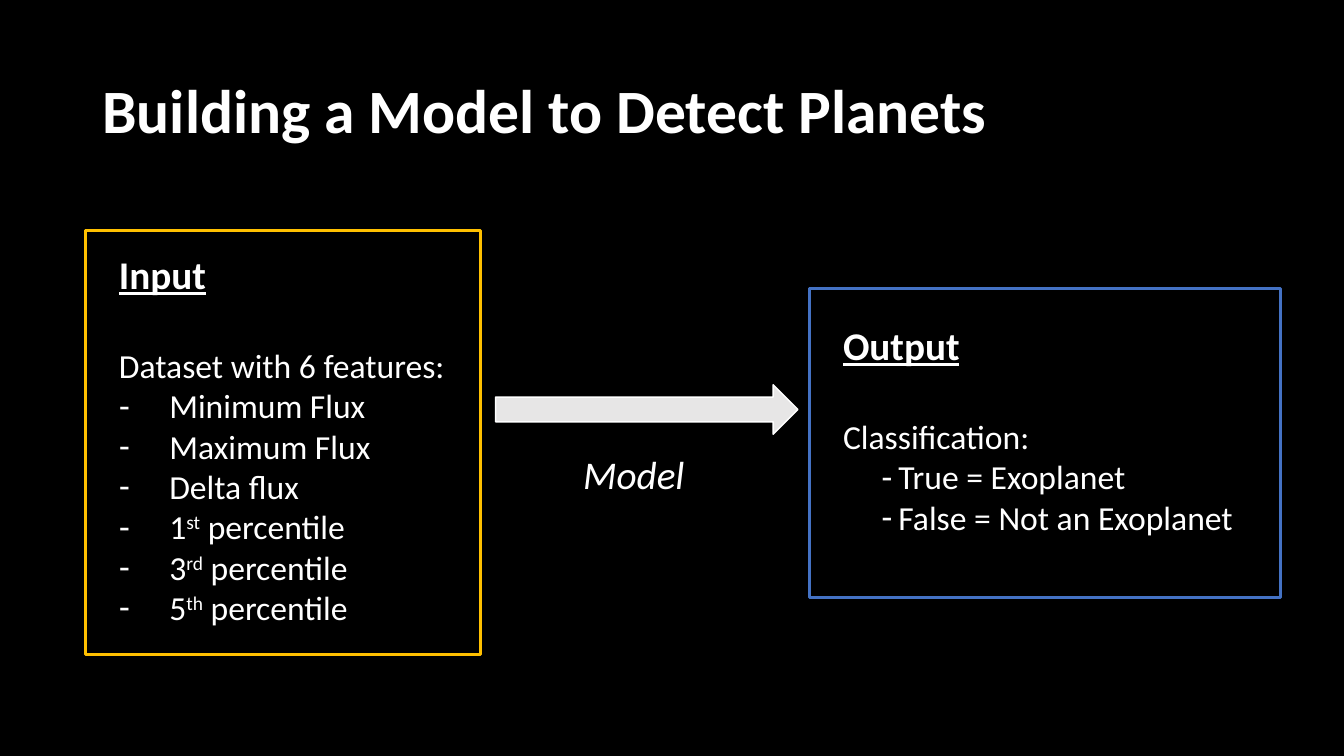
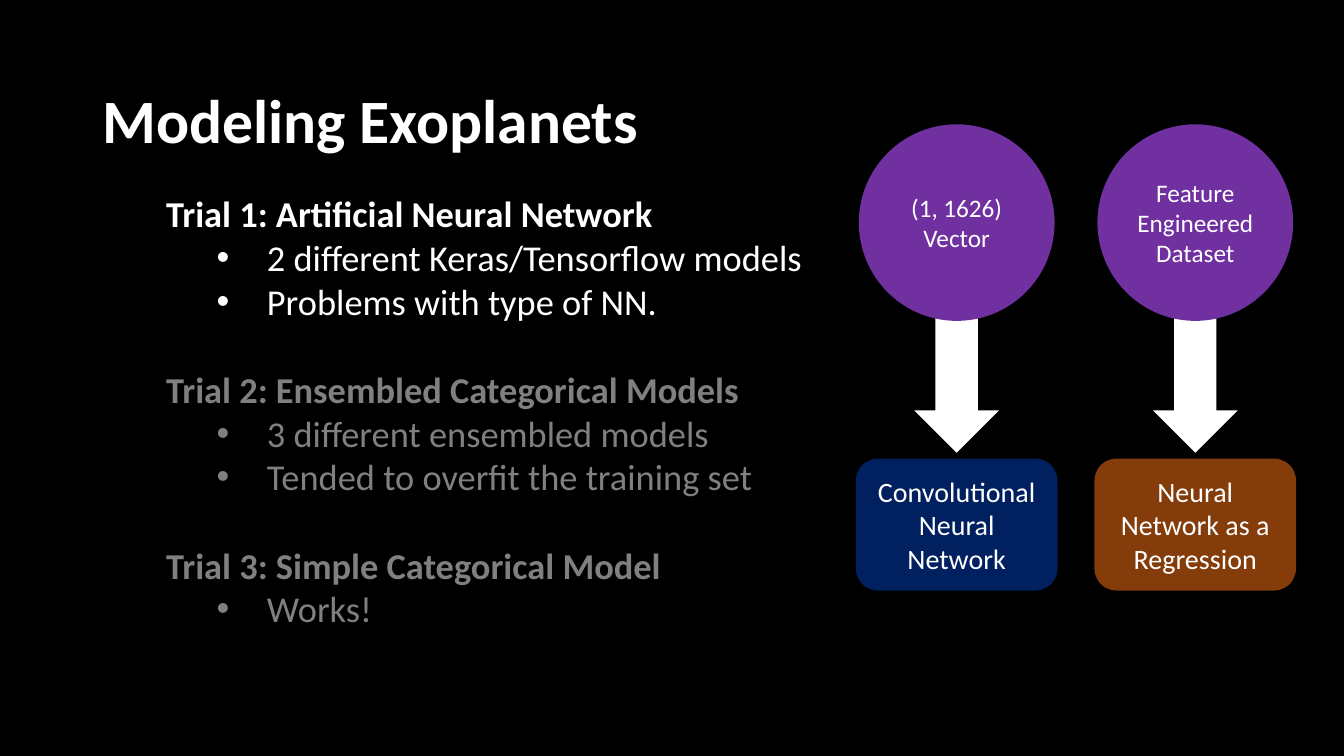
from dataclasses import dataclass
from lxml.etree import SubElement
from pptx import Presentation
from pptx.dml.color import RGBColor
from pptx.enum.shapes import MSO_SHAPE as Shape
from pptx.enum.text import MSO_ANCHOR as Anchor, MSO_AUTO_SIZE as AutoSize, PP_ALIGN as Align
from pptx.oxml.ns import qn
from pptx.util import Inches, Pt

COLUMNS, ROWS = 160, 90
WIDTH, HEIGHT = Inches(13.333), Inches(7.5)
TITLE_ONLY = 5


@dataclass(frozen=True)
class Theme:
    font: str = "Calibri"
    black: str = "000000"
    white: str = "FFFFFF"
    muted: str = "808080"
    silver: str = "E7E6E6"
    gold: str = "FFC000"
    blue: str = "4472C4"
    purple: str = "7030A0"
    navy: str = "002060"
    brown: str = "843C0B"
    title: int = 44
    heading: int = 28
    trial: int = 26
    body: int = 24
    block: int = 20
    source: int = 18


THEME = Theme()


@dataclass(frozen=True)
class Bullet:
    mark: str
    left: float
    hang: float


DASH = Bullet("-", 0.5, 0.5)
INSET_DASH = Bullet("-", 0.55, 0.17)
DOT = Bullet("•", 1, 0.5)


def color(value):
    return RGBColor.from_string(value)


def grid(left, top, width, height):
    across, down = WIDTH / COLUMNS, HEIGHT / ROWS
    return [int(n * unit) for n, unit in zip((left, top, width, height), (across, down) * 2)]


def add_bullet(para, bullet):
    properties = para._p.get_or_add_pPr()
    properties.set("marL", str(Inches(bullet.left)))
    properties.set("indent", str(-Inches(bullet.hang)))
    SubElement(properties, qn("a:buFont")).set("typeface", "Arial")
    SubElement(properties, qn("a:buChar")).set("char", bullet.mark)


def write(frame, text, size, ink=THEME.white, align=Align.LEFT, before=0, bullet=None,
          bold=False, italic=False, underline=False):
    para = frame.paragraphs[0]
    if para.runs:
        para = frame.add_paragraph()
    para.alignment = align
    if before:
        para.space_before = Pt(before)
    if bullet:
        add_bullet(para, bullet)
    font = para.font
    font.name, font.size = THEME.font, Pt(size)
    font.bold, font.italic, font.underline = bold, italic, underline
    font.color.rgb = color(ink)
    for index, part in enumerate(text.split("^")):
        span = para.add_run()
        span.text = part
        if index % 2:
            span.font._element.set("baseline", "30000")
    return para


def add_page(deck, title, place):
    page = deck.slides.add_slide(deck.slide_layouts[TITLE_ONLY])
    holder = page.shapes.title
    holder.left, holder.top, holder.width, holder.height = grid(*place)
    frame = holder.text_frame
    frame.auto_size = AutoSize.NONE
    frame.vertical_anchor = Anchor.MIDDLE
    write(frame, title, THEME.title, bold=True).line_spacing = 0.9
    return page


def add_text(page, place):
    frame = page.shapes.add_textbox(*grid(*place)).text_frame
    frame.word_wrap = True
    return frame


def add_block(page, kind, place, fill=None, line=None, weight=1):
    block = page.shapes.add_shape(kind, *grid(*place))
    block.shadow.inherit = False
    if fill:
        block.fill.solid()
        block.fill.fore_color.rgb = color(fill)
    else:
        block.fill.background()
    if line:
        block.line.color.rgb = color(line)
        block.line.width = Pt(weight)
    else:
        block.line.fill.background()
    block.text_frame.word_wrap = True
    return block


def add_label(page, kind, place, fill, text, size):
    frame = add_block(page, kind, place, fill).text_frame
    frame.vertical_anchor = Anchor.MIDDLE
    write(frame, text, size, align=Align.CENTER)


def add_panel(page, place, line, top, heading, lead, items, bullet):
    frame = add_block(page, Shape.RECTANGLE, place, line=line, weight=2).text_frame
    frame.vertical_anchor = Anchor.TOP
    frame.margin_left, frame.margin_top = Inches(0.33), Inches(top)
    write(frame, heading, THEME.heading, bold=True, underline=True)
    write(frame, lead, THEME.body, before=34)
    for item in items:
        write(frame, item, THEME.body, bullet=bullet)


def add_trials(page, place, trials):
    frame = add_text(page, place)
    for index, (heading, items) in enumerate(trials):
        ink = THEME.muted if index else THEME.white
        write(frame, heading, THEME.trial, ink, before=32 if index else 0, bold=True)
        for item in items:
            write(frame, item, THEME.trial, ink, bullet=DOT)


def add_flow(page, center, source, model, fill):
    def centered(top, width, height):
        return center - width / 2, top, width, height

    add_block(page, Shape.DOWN_ARROW, centered(35.4, 10.1, 18.5), THEME.white)
    add_label(page, Shape.OVAL, centered(14.8, 23.3, 23.4), THEME.purple, source, THEME.source)
    add_label(page, Shape.ROUNDED_RECTANGLE, centered(54.6, 24, 15.7), fill, model, THEME.block)


def build_detection(deck):
    page = add_page(deck, "Building a Model to Detect Planets", (11, 4.8, 138, 17.4))
    features = ["Minimum Flux", "Maximum Flux", "Delta flux"]
    features += [f"{rank} percentile" for rank in ("1^st^", "3^rd^", "5^th^")]
    add_panel(page, (10.2, 27.4, 47, 50.5), THEME.gold, 0.2,
              "Input", "Dataset with 6 features:", features, DASH)
    add_panel(page, (96.4, 34.3, 56, 36.8), THEME.blue, 0.33, "Output", "Classification:",
              ["True = Exoplanet", "False = Not an Exoplanet"], INSET_DASH)
    add_block(page, Shape.RIGHT_ARROW, (59, 45.8, 36, 5.9), THEME.silver, THEME.white)
    write(add_text(page, (57.5, 53, 35.9, 6.8)), "Model", THEME.heading,
          align=Align.CENTER, italic=True)


def build_modeling(deck):
    page = add_page(deck, "Modeling Exoplanets", (11, 4.8, 112, 19.9))
    add_trials(page, (18.6, 22.2, 90.5, 53.8), [
        ("Trial 1: Artificial Neural Network",
         ["2 different Keras/Tensorflow models", "Problems with type of NN."]),
        ("Trial 2: Ensembled Categorical Models",
         ["3 different ensembled models", "Tended to overfit the training set"]),
        ("Trial 3: Simple Categorical Model", ["Works!"]),
    ])
    flows = [
        ("(1, 1626) Vector", "Convolutional Neural Network", THEME.navy),
        ("Feature Engineered Dataset", "Neural Network as a Regression", THEME.brown),
    ]
    for index, flow in enumerate(flows):
        add_flow(page, 113.9 + 28.4 * index, *flow)


def main():
    deck = Presentation()
    deck.slide_width, deck.slide_height = WIDTH, HEIGHT
    backdrop = deck.slide_master.background.fill
    backdrop.solid()
    backdrop.fore_color.rgb = color(THEME.black)
    build_detection(deck)
    build_modeling(deck)
    deck.save("out.pptx")


if __name__ == "__main__":
    main()
